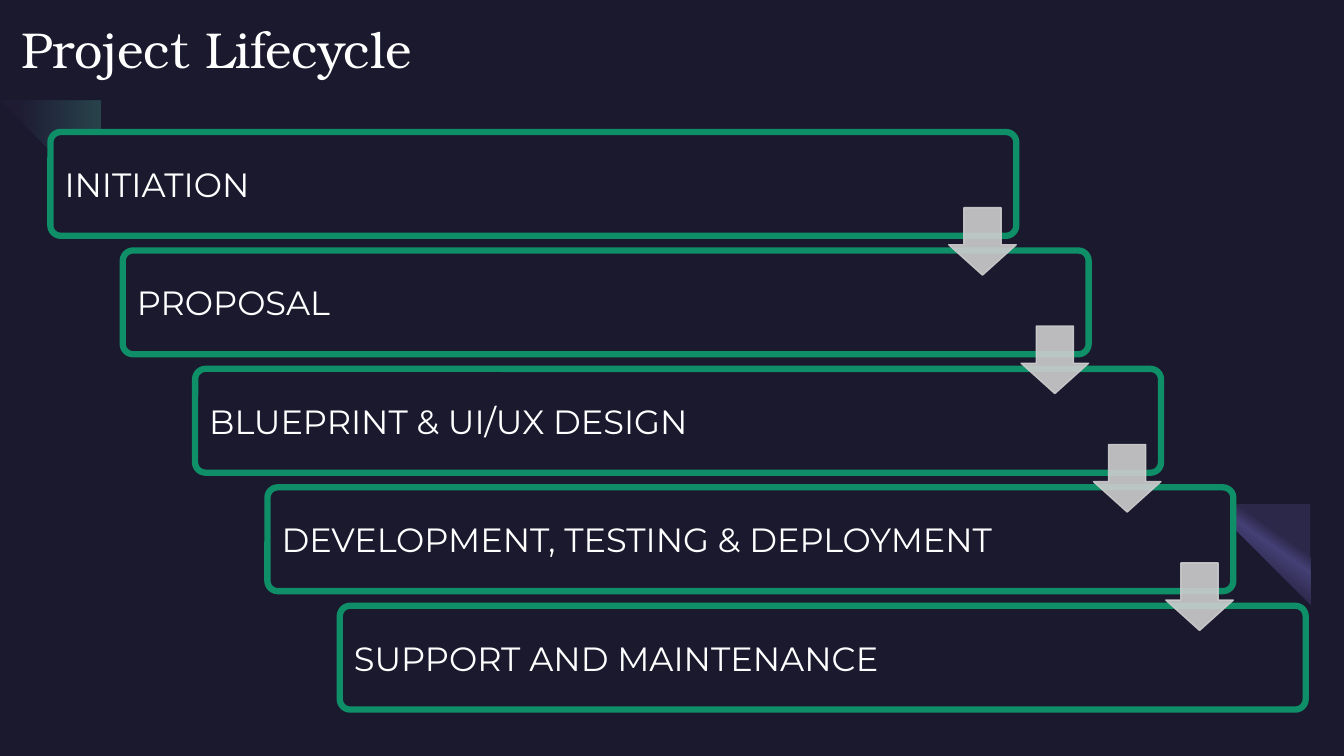
from dataclasses import dataclass

from lxml import etree
from pptx import Presentation
from pptx.dml.color import RGBColor
from pptx.enum.shapes import MSO_SHAPE as Shape
from pptx.enum.text import MSO_ANCHOR as Anchor, MSO_AUTO_SIZE as AutoSize, PP_ALIGN as Align
from pptx.oxml.ns import qn
from pptx.util import Inches, Pt

TITLE = "Project Lifecycle"
STAGES = [
    "INITIATION",
    "PROPOSAL",
    "BLUEPRINT & UI/UX DESIGN",
    "DEVELOPMENT, TESTING & DEPLOYMENT",
    "SUPPORT AND MAINTENANCE",
]


@dataclass(frozen=True)
class Theme:
    night: str = "1B192E"
    indigo: str = "2C284A"
    violet: str = "454075"
    mint: str = "5BEFC1"
    green: str = "0E8F67"
    grey: str = "CDCCCD"
    white: str = "FFFFFF"
    title_font: str = "TeX Gyre Bonum"
    body_font: str = "Montserrat"
    title_size: int = 36
    body_size: int = 24
    border: float = 4.5


T = Theme()

# Staircase: first and last box corners fix the step
FIRST, LAST = (0.5, 1.31), (3.37, 6.01)
BOX_W, BOX_H = 9.58, 1.03
ARROW, ARROW_DROP = 0.67, 0.75
STEP_X, STEP_Y = ((b - a) / (len(STAGES) - 1) for a, b in zip(FIRST, LAST))

# Cube corners; each face lists its corners and gradient angle
TOP_L, TOP_R, RIGHT = (0.56, 0.99), (0.95, 0.99), (1.15, 1.33)
BOTTOM_R, BOTTOM_L, LEFT, CENTRE = (0.95, 1.67), (0.55, 1.67), (0.36, 1.33), (0.75, 1.33)
CUBE_FACES = [
    ([TOP_L, TOP_R, RIGHT, CENTRE], 30),
    ([TOP_L, CENTRE, BOTTOM_L, LEFT], 0),
    ([CENTRE, RIGHT, BOTTOM_R, BOTTOM_L], 330),
]
CUBE_STOPS = [(20, T.indigo, 20), (100, T.mint, 20)]
CONE_STOPS = [(30, T.indigo, 100), (40, T.violet, 100), (60, T.indigo, 100), (100, T.night, 100)]


def bezier(p0, p1, p2, p3, n=16):
    """Points along a cubic curve, without its start."""
    ts = [i / n for i in range(1, n + 1)]
    return [tuple((1 - t) ** 3 * a + 3 * (1 - t) ** 2 * t * b + 3 * (1 - t) * t * t * c + t ** 3 * d
                  for a, b, c, d in zip(p0, p1, p2, p3)) for t in ts]


RIM = [(13.33, 6), (13.32, 6.01)] + bezier((13.32, 6.01), (13.09, 6.24), (12.81, 6.34), (12.7, 6.22))
CONE_SIDE = [(12.35, 5.04), (13.33, 5.31)] + RIM + [(12.66, 6.16)]
CONE_BASE = ([(13.33, 5.34)] + RIM
             + bezier((12.7, 6.22), (12.58, 6.11), (12.68, 5.83), (12.91, 5.59))
             + bezier((12.91, 5.59), (13.02, 5.48), (13.15, 5.4), (13.26, 5.36)))


def rgb(colour):
    return RGBColor.from_string(colour)


def paint(sp, fill, line=None, width=0):
    sp.shadow.inherit = False
    sp.fill.solid()
    sp.fill.fore_color.rgb = rgb(fill)
    if line:
        sp.line.color.rgb = rgb(line)
        sp.line.width = Pt(width)
    else:
        sp.line.fill.background()


def set_alpha(colour, percent):
    etree.SubElement(colour, qn("a:alpha"), val=str(percent * 1000))


def set_gradient(sp, stops, angle):
    solid = sp._element.spPr.find(qn("a:solidFill"))
    grad = etree.Element(qn("a:gradFill"), rotWithShape="1")
    gs_list = etree.SubElement(grad, qn("a:gsLst"))
    for pos, colour, alpha in stops:
        gs = etree.SubElement(gs_list, qn("a:gs"), pos=str(pos * 1000))
        set_alpha(etree.SubElement(gs, qn("a:srgbClr"), val=colour), alpha)
    etree.SubElement(grad, qn("a:lin"), ang=str(angle * 60000), scaled="0")
    solid.getparent().replace(solid, grad)


def add_polygon(slide, points):
    builder = slide.shapes.build_freeform(*points[0], scale=Inches(1))
    builder.add_line_segments(points[1:], close=True)
    sp = builder.convert_to_shape()
    paint(sp, T.indigo)
    return sp


def write(tf, text, font, size):
    tf.text = text
    tf.word_wrap = True
    tf.auto_size = AutoSize.NONE
    tf.vertical_anchor = Anchor.MIDDLE
    p = tf.paragraphs[0]
    p.alignment = Align.LEFT
    p.font.name, p.font.size, p.font.color.rgb = font, Pt(size), rgb(T.white)


def add_preset(slide, kind, *box):
    return slide.shapes.add_shape(kind, *map(Inches, box))


def add_stage(slide, i, text):
    sp = add_preset(slide, Shape.ROUNDED_RECTANGLE,
                    FIRST[0] + i * STEP_X, FIRST[1] + i * STEP_Y, BOX_W, BOX_H)
    sp.adjustments[0] = 0.1
    paint(sp, T.night, T.green, T.border)
    write(sp.text_frame, text, T.body_font, T.body_size)
    sp.text_frame.margin_left = Inches(0.11)


def add_arrow(slide, i):
    """Arrow from stage i to the next, flush with the right edge of stage i."""
    sp = add_preset(slide, Shape.DOWN_ARROW, FIRST[0] + i * STEP_X + BOX_W - ARROW,
                    FIRST[1] + i * STEP_Y + ARROW_DROP, ARROW, ARROW)
    sp.adjustments[0], sp.adjustments[1] = 0.55, 0.45
    paint(sp, T.grey, T.grey, 1)
    for colour in sp._element.spPr.iter(qn("a:srgbClr")):
        set_alpha(colour, 90)


def main():
    prs = Presentation()
    prs.slide_width, prs.slide_height = Inches(13.33), Inches(7.5)
    slide = prs.slides.add_slide(prs.slide_layouts[5])
    slide.background.fill.solid()
    slide.background.fill.fore_color.rgb = rgb(T.night)

    for corners, angle in CUBE_FACES:
        set_gradient(add_polygon(slide, corners), CUBE_STOPS, angle)
    set_gradient(add_polygon(slide, CONE_SIDE), CONE_STOPS, 125)
    add_polygon(slide, CONE_BASE)

    title = slide.shapes.title
    title.left, title.top, title.width, title.height = map(Inches, (0.11, 0.12, 6.68, 0.71))
    write(title.text_frame, TITLE, T.title_font, T.title_size)

    for i, text in enumerate(STAGES):
        add_stage(slide, i, text)
    for i in range(len(STAGES) - 1):
        add_arrow(slide, i)
    prs.save("out.pptx")


if __name__ == "__main__":
    main()
